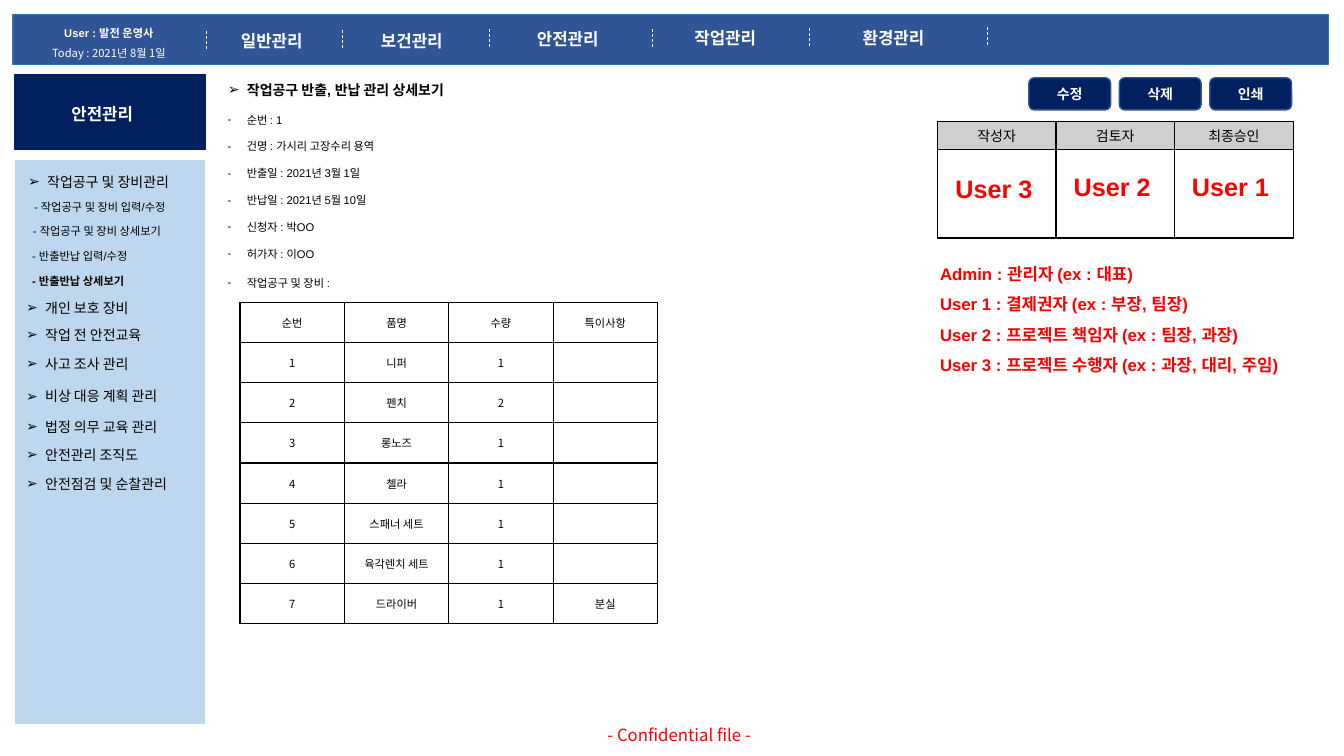
from collections import namedtuple

import pptx
import pptx.dml.color
import pptx.enum.dml
import pptx.enum.shapes
import pptx.enum.text
import pptx.oxml.ns
import pptx.util
from lxml import etree

Cm, Pt = pptx.util.Cm, pptx.util.Pt
ALIGN = pptx.enum.text.PP_ALIGN
ANCHOR = pptx.enum.text.MSO_ANCHOR
SHAPE = pptx.enum.shapes.MSO_SHAPE
qn = pptx.oxml.ns.qn

COLORS = {"navy": "002060", "bar": "2F5597", "bar_line": "2E75B6",
          "panel": "BDD7EE", "button_line": "325491", "head": "D0CECE",
          "white": "FFFFFF", "black": "000000", "red": "FF0000"}
ARIAL, NOTO = "Arial", "Noto Sans CJK KR"
Box = namedtuple("Box", "left top width height")


def rgb(key):
    return pptx.dml.color.RGBColor.from_string(COLORS[key])


def inside(box, x, y, w, h):
    """Lengths of a part at x, y within the box."""
    return Cm(box.left + x), Cm(box.top + y), Cm(w), Cm(h)


def style(size, color="black", bold=False, name=ARIAL):
    return {"size": Pt(size), "bold": bold, "name": name, "color": color}


def write(p, text, fmt, **para):
    r = p.add_run()
    r.text = text
    for key, value in fmt.items():
        if key == "color":
            r.font.color.rgb = rgb(value)
        else:
            setattr(r.font, key, value)
    for key, value in para.items():
        setattr(p, key, value)


def bullet(p, char):
    pPr = p._p.get_or_add_pPr()
    pPr.set("marL", str(Cm(0.48)))
    pPr.set("indent", str(-Cm(0.48)))
    etree.SubElement(pPr, qn("a:buFont")).set("typeface", ARIAL)
    etree.SubElement(pPr, qn("a:buChar")).set("char", char)


def add_text(s, place, lines, char=None, **para):
    """Text box with one paragraph for each (text, style) pair."""
    tf = s.shapes.add_textbox(*place).text_frame
    tf.word_wrap = True
    for i, (text, fmt) in enumerate(lines):
        p = tf.add_paragraph() if i else tf.paragraphs[0]
        write(p, text, fmt, **para)
        if char:
            bullet(p, char)
    return tf


def add_block(s, place, fill, line, width, kind=SHAPE.RECTANGLE):
    sp = s.shapes.add_shape(kind, *place)
    sp.shadow.inherit = False
    sp.fill.solid()
    sp.fill.fore_color.rgb = rgb(fill)
    sp.line.color.rgb = rgb(line)
    sp.line.width = Pt(width)
    return sp


def add_grid(s, place, rows, heights, size, head=None):
    """Bordered table of centred text."""
    frame = s.shapes.add_table(len(rows), len(rows[0]), *place)
    table = frame.table
    table.first_row = table.horz_banding = False
    for column in table.columns:
        column.width = place[2] // len(rows[0])
    for i, (row, height) in enumerate(zip(rows, heights)):
        table.rows[i].height = Cm(height)
        for j, text in enumerate(row):
            cell = table.cell(i, j)
            cell.vertical_anchor = ANCHOR.MIDDLE
            cell.margin_top = cell.margin_bottom = Cm(0.05)
            if text:
                write(cell.text_frame.paragraphs[0], text, style(size, name=NOTO),
                      alignment=ALIGN.CENTER)
            tcPr = cell._tc.get_or_add_tcPr()
            for side in ("lnL", "lnR", "lnT", "lnB"):
                ln = etree.SubElement(tcPr, qn("a:" + side), w=str(Pt(1)))
                fill = etree.SubElement(ln, qn("a:solidFill"))
                etree.SubElement(fill, qn("a:srgbClr"), val=COLORS["black"])
            if head and i == 0:
                cell.fill.solid()
                cell.fill.fore_color.rgb = rgb(head)
            else:
                cell.fill.background()


def top_bar(s, box):
    add_block(s, inside(box, 0, 0, box.width, box.height), "bar", "bar_line", 1)
    # Dashed dividers
    for x, y in ((4.88, 0.43), (8.31, 0.4), (11.99, 0.38),
                 (16.1, 0.38), (20.07, 0.35), (24.54, 0.33)):
        left, top, _, length = inside(box, x, y, 0, 0.48)
        line = s.shapes.add_connector(pptx.enum.shapes.MSO_CONNECTOR.STRAIGHT,
                                      left, top, left, top + length)
        line.line.color.rgb = rgb("white")
        line.line.width = Pt(0.5)
        line.line.dash_style = pptx.enum.dml.MSO_LINE.DASH
        etree.SubElement(line._element.spPr, qn("a:effectLst"))
    # Navigation
    for text, x, y in (("일반관리", 5.49, 0.28), ("보건관리", 9.02, 0.3),
                       ("안전관리", 12.95, 0.25), ("작업관리", 16.92, 0.22),
                       ("환경관리", 21.16, 0.22)):
        add_text(s, inside(box, x, y, 2.49, 0.76), [(text, style(12, "white", True))])
    # User and date
    add_text(s, inside(box, 0.46, 0, 3.91, 1.22),
             [("User : 발전 운영사", style(8, "white", True)),
              ("Today : 2021년 8월 1일", style(8, "white", name=NOTO))],
             alignment=ALIGN.CENTER, line_spacing=1.5)


def sidebar(s, box):
    add_block(s, inside(box, 0, 0, box.width, 1.96), "navy", "white", 1.5)
    add_block(s, inside(box, 0.03, 2.16, 4.83, 14.25), "panel", "white", 1.5)
    add_text(s, inside(box, 1.22, 0.64, 2.49, 0.76),
             [("안전관리", style(12, "white", True))])
    # Main entries
    for text, x, y in (("작업공구 및 장비관리", 0.13, 2.39),
                       ("개인 보호 장비", 0.08, 5.57), ("작업 전 안전교육", 0.08, 6.25),
                       ("사고 조사 관리", 0.08, 6.99), ("비상 대응 계획 관리", 0.08, 7.8),
                       ("법정 의무 교육 관리", 0.08, 8.56), ("안전관리 조직도", 0.08, 9.28),
                       ("안전점검 및 순찰관리", 0.08, 10.01)):
        add_text(s, inside(box, x, y, 4.83, 0.68), [(text, style(10))], "➢")
    # Sub-entries, the current one in bold
    for text, x, y, bold in (("- 작업공구 및 장비 입력/수정", 0.28, 3.08, False),
                             ("- 작업공구 및 장비 상세보기", 0.25, 3.69, False),
                             ("- 반출반납 입력/수정", 0.23, 4.32, False),
                             ("- 반출반납 상세보기", 0.23, 4.93, True)):
        add_text(s, inside(box, x, y, 5.26, 0.61), [(text, style(8, bold=bold))])


def details(s, box):
    # Title
    sp = s.shapes.title
    sp.left, sp.top, sp.width, sp.height = inside(box, 0, 0, 9.91, 0.7)
    tf = sp.text_frame
    tf.word_wrap = True
    tf.auto_size = pptx.enum.text.MSO_AUTO_SIZE.NONE
    tf.vertical_anchor = ANCHOR.TOP
    p = tf.paragraphs[0]
    write(p, "작업공구 반출, 반납 관리 상세보기", style(10, bold=True), alignment=ALIGN.LEFT)
    bullet(p, "➢")
    # Record fields
    fields = ("순번 : 1", "건명 : 가시리 고장수리 용역", "반출일 : 2021년 3월 1일",
              "반납일 : 2021년 5월 10일", "신청자 : 박OO", "허가자 : 이OO",
              "작업공구 및 장비 :")
    tf = add_text(s, inside(box, 0, 0.45, 9.91, 5),
                  [(text, style(8)) for text in fields], "-", line_spacing=Pt(19.2))
    tf.paragraphs[-1].space_before = Pt(1.5)
    # Tool list
    tools = (("니퍼", "1", ""), ("펜치", "2", ""), ("롱노즈", "1", ""), ("첼라", "1", ""),
             ("스패너 세트", "1", ""), ("육각렌치 세트", "1", ""), ("드라이버", "1", "분실"))
    rows = [("순번", "품명", "수량", "특이사항")]
    rows += [(str(n), *tool) for n, tool in enumerate(tools, 1)]
    add_grid(s, inside(box, 0.56, 5.69, 10.52, 8.1), rows, [8.1 / len(rows)] * len(rows), 8)


def approval(s, box):
    # Buttons
    for i, text in enumerate(("수정", "삭제", "인쇄")):
        sp = add_block(s, inside(box, 2.49 + 2.28 * i, 0, 2.06, 0.81),
                       "navy", "button_line", 1, SHAPE.ROUNDED_RECTANGLE)
        sp.text_frame.vertical_anchor = ANCHOR.MIDDLE
        write(sp.text_frame.paragraphs[0], text, style(10, "white", True, NOTO),
              alignment=ALIGN.CENTER)
    # Sign-off table and signers
    add_grid(s, inside(box, 0.18, 1.11, 8.97, 2.93),
             [("작성자", "검토자", "최종승인"), ("", "", "")], (0.69, 2.24), 10, "head")
    for i, (name, y) in enumerate((("User 3", 2.28), ("User 2", 2.23), ("User 1", 2.23))):
        add_text(s, inside(box, 0.39 + 2.98 * i, y, 2.77, 1.02),
                 [(name, style(18, "red", True))])
    # Roles
    roles = ("Admin : 관리자 (ex : 대표)", "User 1 : 결제권자 (ex : 부장, 팀장)",
             "User 2 : 프로젝트 책임자 (ex : 팀장, 과장)",
             "User 3 : 프로젝트 수행자 (ex : 과장, 대리, 주임)")
    add_text(s, inside(box, 0, 4.31, box.width, 3.23),
             [(role, style(12, "red", True)) for role in roles], line_spacing=1.5)


def footer(s, box):
    add_text(s, inside(box, 0, 0, box.width, box.height),
             [("- Confidential file -", style(12, "red", name=NOTO))])


def main():
    prs = pptx.Presentation()
    prs.slide_width, prs.slide_height = Cm(33.87), Cm(19.05)
    s = prs.slides.add_slide(prs.slide_layouts[5])
    top_bar(s, Box(0.33, 0.36, 33.15, 1.27))
    sidebar(s, Box(0.33, 1.85, 4.88, 16.4))
    details(s, Box(5.49, 1.93, 11.2, 13.8))
    approval(s, Box(23.44, 1.96, 10.03, 7.54))
    footer(s, Box(15.06, 18.14, 8.05, 0.76))
    prs.save("out.pptx")


if __name__ == "__main__":
    main()
